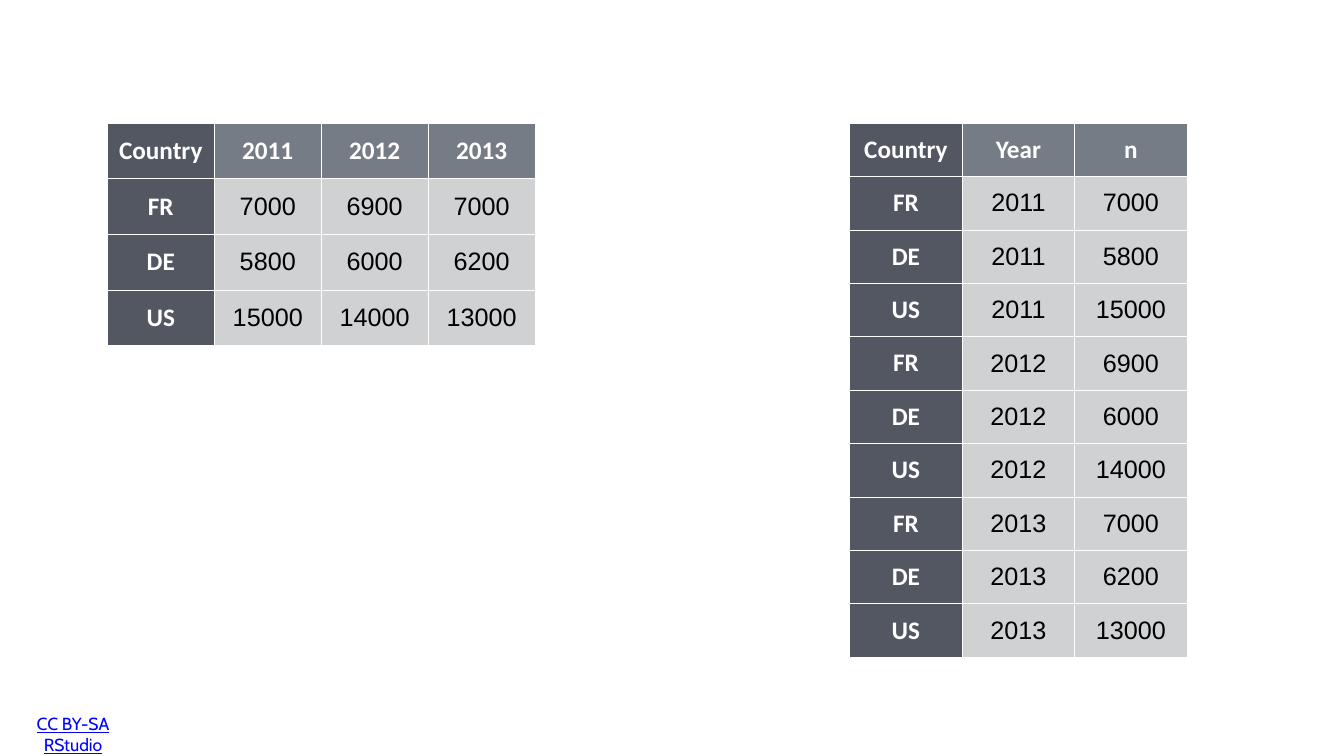
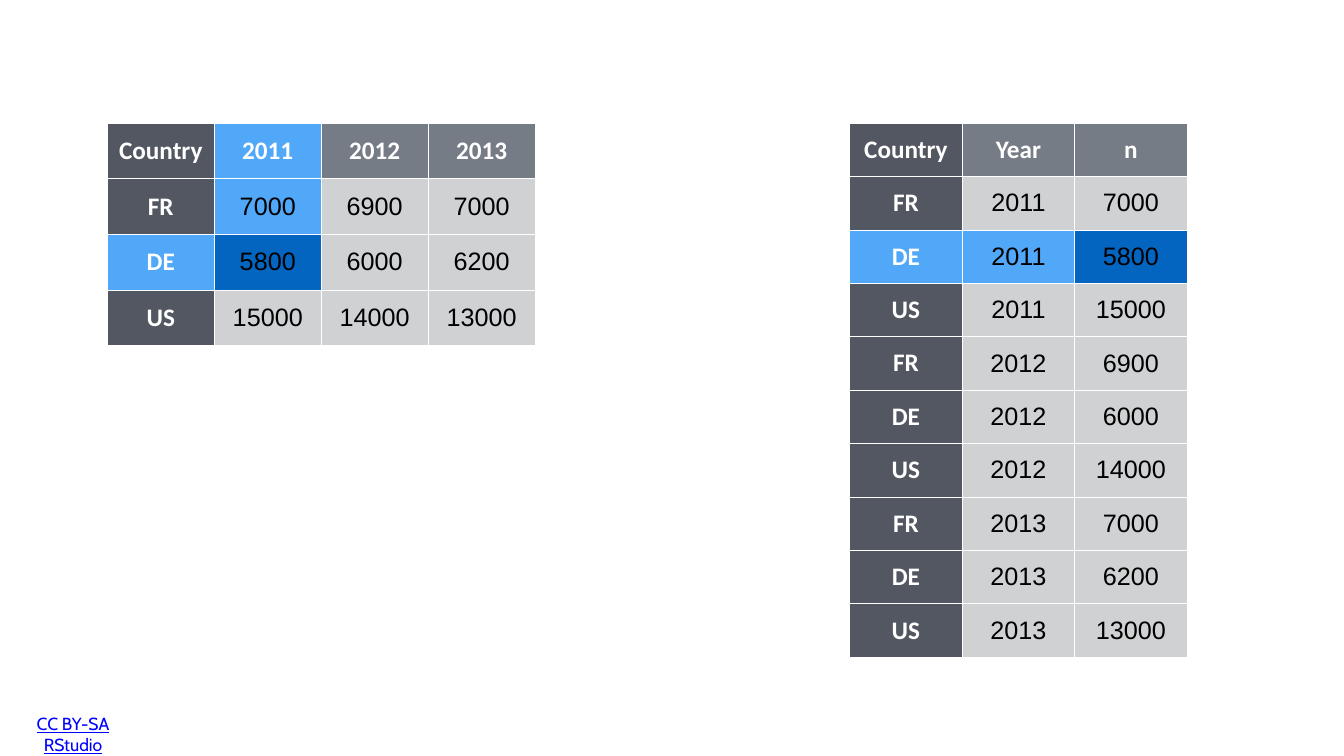
import lxml.etree
import pptx
import pptx.dml.color
import pptx.enum.text
import pptx.oxml.ns
import pptx.util

PX = 9144  # one px is a hundredth of an inch

WHITE = pptx.dml.color.RGBColor(0xFF, 0xFF, 0xFF)
BLACK = pptx.dml.color.RGBColor(0x00, 0x00, 0x00)
LINK_BLUE = pptx.dml.color.RGBColor(0x00, 0x00, 0xFF)
SLATE = pptx.dml.color.RGBColor(0x53, 0x57, 0x61)
GREY = pptx.dml.color.RGBColor(0x76, 0x7C, 0x85)
PALE_GREY = pptx.dml.color.RGBColor(0xD0, 0xD1, 0xD2)
SKY_BLUE = pptx.dml.color.RGBColor(0x51, 0xA8, 0xF9)
DEEP_BLUE = pptx.dml.color.RGBColor(0x03, 0x65, 0xC0)

PAGE_SIZE = (2667, 1500)
WIDE_BOX = (213, 244, 849, 442)
LONG_BOX = (1686, 244, 670, 1060)
LICENCE_BOX = (12, 1426, 266, 60)

HEADING = {"size": pptx.util.Pt(36), "name": "Calibri", "bold": True, "color": WHITE}
VALUE = {"size": pptx.util.Pt(36), "name": "Arial", "bold": False, "color": BLACK}
LICENCE = {"size": pptx.util.Pt(25), "name": "Cabin", "underline": True, "color": LINK_BLUE}

YEARS = ["2011", "2012", "2013"]
CASES = {
    "FR": ["7000", "6900", "7000"],
    "DE": ["5800", "6000", "6200"],
    "US": ["15000", "14000", "13000"],
}
WIDE_ROWS = [["Country", *YEARS]] + [[country, *counts] for country, counts in CASES.items()]
LONG_ROWS = [["Country", "Year", "n"]] + [
    [country, year, counts[index]]
    for index, year in enumerate(YEARS)
    for country, counts in CASES.items()
]

# Fills by (row, column) that trace one value from the wide to the long table
WIDE_TRACE = {(0, 1): SKY_BLUE, (1, 1): SKY_BLUE, (2, 0): SKY_BLUE, (2, 1): DEEP_BLUE}
LONG_TRACE = {(2, 0): SKY_BLUE, (2, 1): SKY_BLUE, (2, 2): DEEP_BLUE}


def emu(lengths):
    return [length * PX for length in lengths]


def write_text(frame, text, style):
    para = frame.paragraphs[0]
    para.alignment = pptx.enum.text.PP_ALIGN.CENTER
    span = para.add_run()
    span.text = text
    for key, value in style.items():
        if key == "color":
            span.font.color.rgb = value
        else:
            setattr(span.font, key, value)


def set_margins(holder, margin):
    for side in ("left", "top", "right", "bottom"):
        setattr(holder, f"margin_{side}", margin * PX)


def add_borders(cell):
    properties = cell._tc.get_or_add_tcPr()
    for side in ("lnL", "lnR", "lnT", "lnB"):
        line = lxml.etree.SubElement(
            properties, pptx.oxml.ns.qn(f"a:{side}"), w=str(pptx.util.Pt(1))
        )
        fill = lxml.etree.SubElement(line, pptx.oxml.ns.qn("a:solidFill"))
        lxml.etree.SubElement(fill, pptx.oxml.ns.qn("a:srgbClr"), val=str(WHITE))


def base_fill(row, column):
    if column == 0:
        return SLATE
    return GREY if row == 0 else PALE_GREY


def add_data_table(page, box, rows, trace):
    left, top, width, height = emu(box)
    table = page.shapes.add_table(len(rows), len(rows[0]), left, top, width, height).table
    table.first_row = False
    table.horz_banding = False
    for column in table.columns:
        column.width = width // len(rows[0])
    for table_row in table.rows:
        table_row.height = height // len(rows)
    for row, texts in enumerate(rows):
        for column, text in enumerate(texts):
            cell = table.cell(row, column)
            set_margins(cell, 6)
            cell.vertical_anchor = pptx.enum.text.MSO_ANCHOR.MIDDLE
            add_borders(cell)
            cell.fill.solid()
            cell.fill.fore_color.rgb = trace.get((row, column), base_fill(row, column))
            write_text(cell.text_frame, text, VALUE if row and column else HEADING)


def add_licence(page, box):
    frame = page.shapes.add_textbox(*emu(box)).text_frame
    set_margins(frame, 8)
    frame.word_wrap = False
    frame.auto_size = pptx.enum.text.MSO_AUTO_SIZE.SHAPE_TO_FIT_TEXT
    frame.vertical_anchor = pptx.enum.text.MSO_ANCHOR.MIDDLE
    write_text(frame, "CC BY-SA RStudio", LICENCE)


def add_reshape_page(deck, wide_trace, long_trace):
    """Show the same cases as a wide table and as a long table."""
    page = deck.slides.add_slide(deck.slide_layouts[6])
    add_licence(page, LICENCE_BOX)
    add_data_table(page, WIDE_BOX, WIDE_ROWS, wide_trace)
    add_data_table(page, LONG_BOX, LONG_ROWS, long_trace)


def main():
    deck = pptx.Presentation()
    deck.slide_width, deck.slide_height = emu(PAGE_SIZE)
    add_reshape_page(deck, {}, {})
    add_reshape_page(deck, WIDE_TRACE, LONG_TRACE)
    deck.save("out.pptx")


if __name__ == "__main__":
    main()
